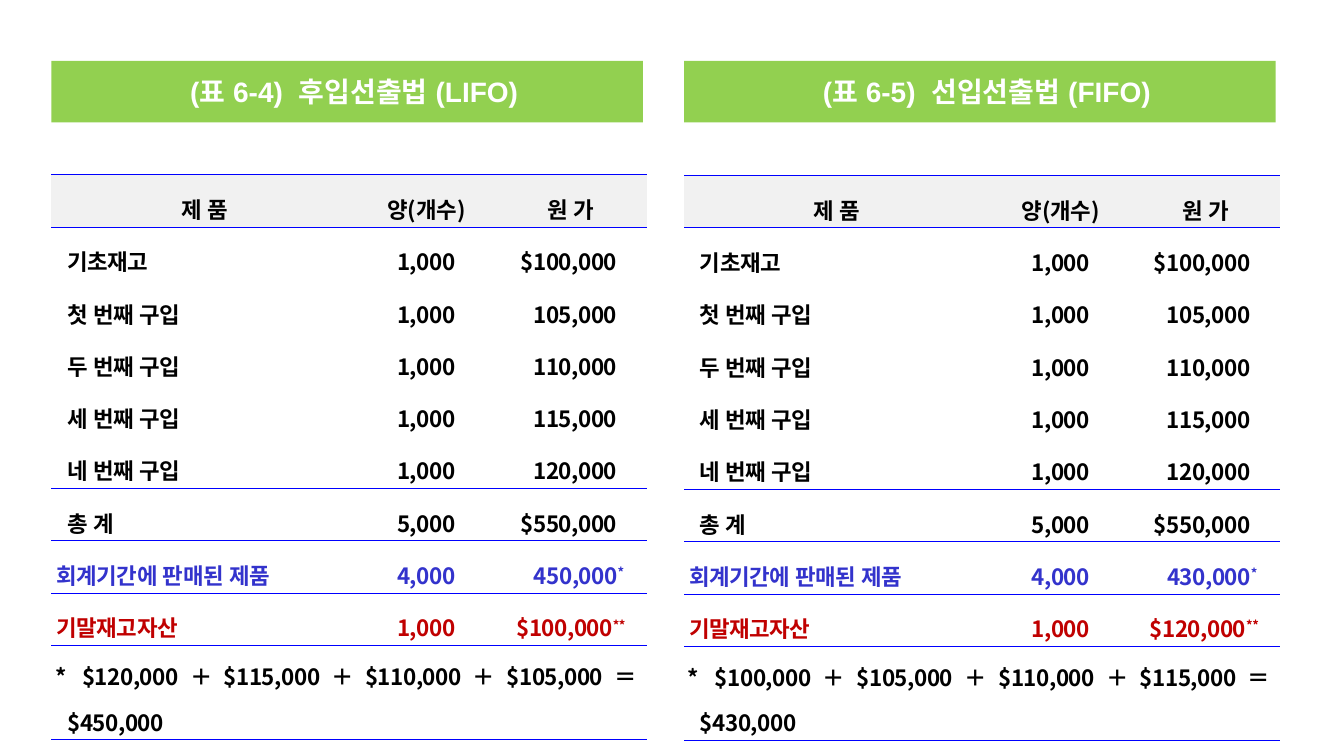
from lxml import etree
from pptx import Presentation
from pptx.dml.color import RGBColor
from pptx.enum import lang, shapes, text
from pptx.oxml import ns
from pptx.util import Pt

BLACK = RGBColor(0, 0, 0)
WHITE = RGBColor(255, 255, 255)
BLUE = RGBColor(0x33, 0x33, 0xCC)
RED = RGBColor(0xC0, 0, 0)
GREEN = RGBColor(0x92, 0xD0, 0x50)
GRAY = RGBColor(0xF1, 0xF1, 0xF1)
RULE = RGBColor(0, 0, 255)
BODY_FONT = "Noto Sans CJK KR"
INSET = Pt(1.4)
LAST_ROW = 9
RULED_ABOVE = {0, 1, 6, 7, 8, 9}
ALIGN = text.PP_ALIGN
COLUMN_ALIGNS = (ALIGN.JUSTIFY, ALIGN.CENTER, ALIGN.RIGHT)
COSTS = ("$100,000", "105,000", "110,000", "115,000", "120,000")
PURCHASES = ("기초재고", "첫 번째 구입", "두 번째 구입", "세 번째 구입", "네 번째 구입")


def add_run(paragraph, words, size, color, latin, spacing=0, raised=False):
    run = paragraph.add_run()
    run.text = words
    font = run.font
    font.size, font.bold = Pt(size), True
    font.color.rgb = color
    font.name = latin
    font.language_id = lang.MSO_LANGUAGE_ID.KOREAN
    properties = run._r.get_or_add_rPr()
    etree.SubElement(properties, ns.qn("a:ea"), typeface=BODY_FONT)
    properties.set("spc", str(round(spacing * 100)))
    if raised:
        properties.set("baseline", "30000")


def add_body_run(paragraph, words, color=BLACK, raised=False):
    add_run(paragraph, words, 16, color, BODY_FONT, -0.3, raised)


def format_paragraph(paragraph, align, line_spacing, left=0, first=0, right=0):
    paragraph.alignment = align
    paragraph.line_spacing = line_spacing
    properties = paragraph._p.get_or_add_pPr()
    for name, length in (("marL", left), ("marR", right), ("indent", first)):
        properties.set(name, str(Pt(length)))


def set_border(cell, side, visible):
    properties = cell._tc.get_or_add_tcPr()
    line = etree.SubElement(properties, ns.qn("a:" + side), w=str(Pt(0.28)))
    if visible:
        fill = etree.SubElement(line, ns.qn("a:solidFill"))
        etree.SubElement(fill, ns.qn("a:srgbClr"), val=str(RULE))
    else:
        etree.SubElement(line, ns.qn("a:noFill"))


def style_cell(cell, row):
    cell.margin_left = cell.margin_right = INSET
    cell.margin_top = cell.margin_bottom = INSET
    cell.vertical_anchor = text.MSO_ANCHOR.MIDDLE
    set_border(cell, "lnL", False)
    set_border(cell, "lnR", False)
    set_border(cell, "lnT", row in RULED_ABOVE)
    set_border(cell, "lnB", row + 1 in RULED_ABOVE or row == LAST_ROW)
    if row == 0:
        cell.fill.solid()
        cell.fill.fore_color.rgb = GRAY
    else:
        cell.fill.background()


def fill_row(table, row, values, color=BLACK, mark=""):
    for column, words in enumerate(values):
        paragraph = table.cell(row, column).text_frame.paragraphs[0]
        align = COLUMN_ALIGNS[column] if row else ALIGN.CENTER
        left = right = 0
        if row and column == 0:
            left = 2.4 if mark else 10
        if row and column == 2:
            right = 20 if not mark else 16 - len(mark)
        format_paragraph(paragraph, align, 1.5, left, 0, right)
        add_body_run(paragraph, words, color)
        if mark and column == 2:
            add_body_run(paragraph, mark, color, True)


def fill_note(cell, note):
    paragraph = cell.text_frame.paragraphs[0]
    format_paragraph(paragraph, ALIGN.JUSTIFY, 1.4, 10, -8.6, 6)
    add_body_run(paragraph, note)


def add_title(slide, left, top, width, height, label, method):
    shape = slide.shapes.add_shape(
        shapes.MSO_SHAPE.RECTANGLE, Pt(left), Pt(top), Pt(width), Pt(height))
    shape.shadow.inherit = False
    shape.fill.solid()
    shape.fill.fore_color.rgb = GREEN
    shape.line.fill.background()
    shape.text_frame.vertical_anchor = text.MSO_ANCHOR.MIDDLE
    paragraph = shape.text_frame.paragraphs[0]
    format_paragraph(paragraph, ALIGN.CENTER, 1.0, 0, 10)
    for words, spacing in ((label, 0), (" ", 5.6), (method, 0)):
        add_run(paragraph, words, 20, WHITE, "Arial", spacing)


def add_inventory_table(slide, left, top, widths, heights, sold, ending, sold_costs):
    frame = slide.shapes.add_table(
        len(heights), len(widths), Pt(left), Pt(top), Pt(sum(widths)), Pt(sum(heights)))
    table = frame.table
    table.first_row = table.horz_banding = False
    for column, width in zip(table.columns, widths):
        column.width = Pt(width)
    for row, height in enumerate(heights):
        table.rows[row].height = Pt(height)
        for cell in table.rows[row].cells:
            style_cell(cell, row)

    fill_row(table, 0, ("제 품", "양(개수)", "원 가"))
    for row, (purchase, cost) in enumerate(zip(PURCHASES, COSTS), 1):
        fill_row(table, row, (purchase, "1,000", cost))
    fill_row(table, 6, ("총 계", "5,000", "$550,000"))
    fill_row(table, 7, ("회계기간에 판매된 제품", "4,000", sold), BLUE, "*")
    fill_row(table, 8, ("기말재고자산", "1,000", ending), RED, "**")

    table.cell(LAST_ROW, 0).merge(table.cell(LAST_ROW, 2))
    total = "＋".join("$" + cost.lstrip("$") for cost in sold_costs)
    fill_note(table.cell(LAST_ROW, 0), f"* {total}＝${sold}")


def add_method(slide, left, table_top, widths, heights, label, method, sold, ending, sold_costs):
    add_title(slide, left, 43.5, 422.6, 44, label, method)
    add_inventory_table(slide, left, table_top, widths, heights, sold, ending, sold_costs)


def main():
    presentation = Presentation()
    presentation.slide_width, presentation.slide_height = Pt(960), Pt(540)
    slide = presentation.slides.add_slide(presentation.slide_layouts[6])
    add_method(slide, 36.7, 124.6, (219.6, 96.5, 109.4), [33.8] * 9 + [56.9],
               "(표 6-4)", "후입선출법 (LIFO)", "450,000", "$100,000", COSTS[:0:-1])
    add_method(slide, 488.6, 125.2, (218.2, 101.8, 106), [31.7] + [35.3] * 8 + [55.4],
               "(표 6-5)", "선입선출법 (FIFO)", "430,000", "$120,000", COSTS[:-1])
    presentation.save("out.pptx")


if __name__ == "__main__":
    main()
